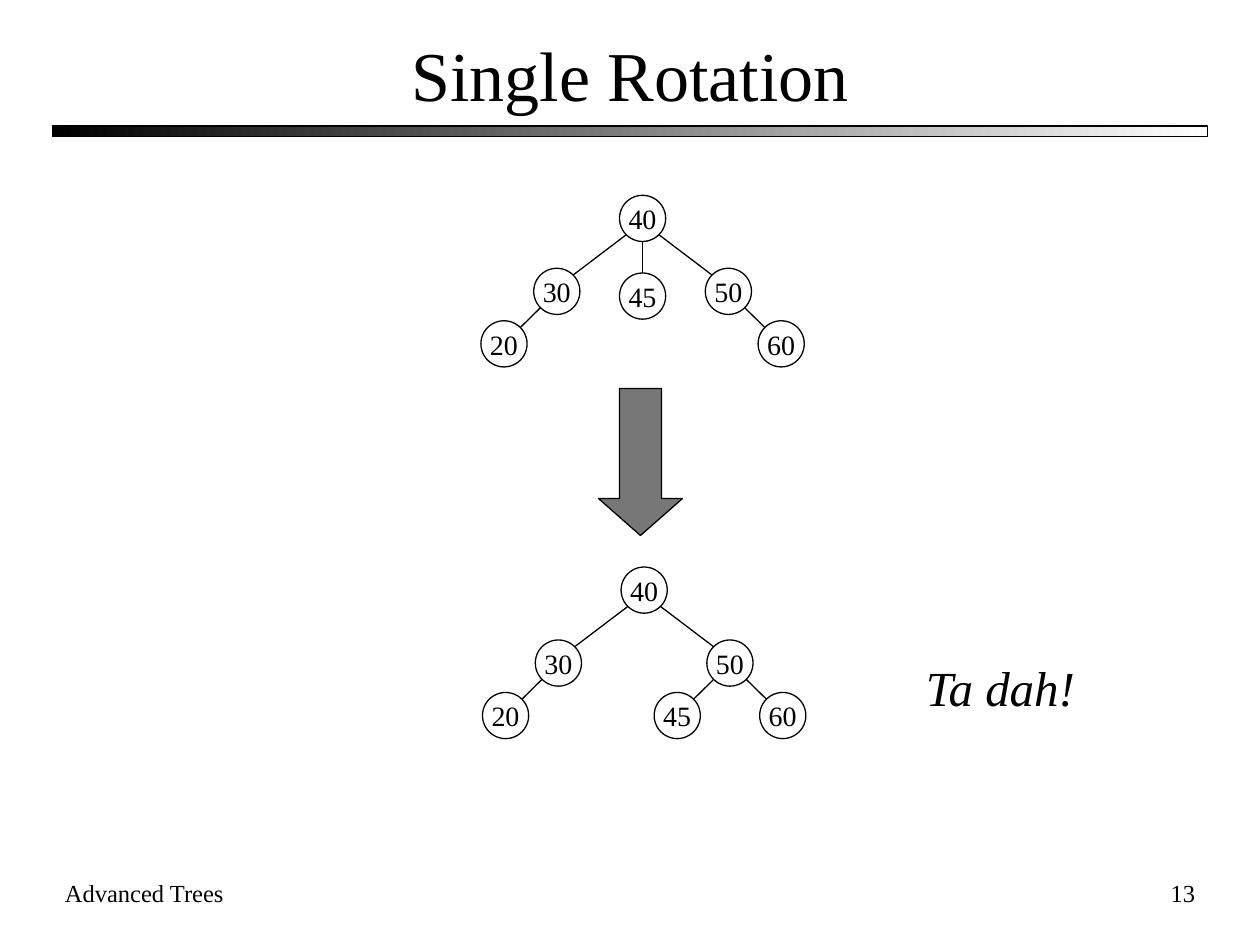
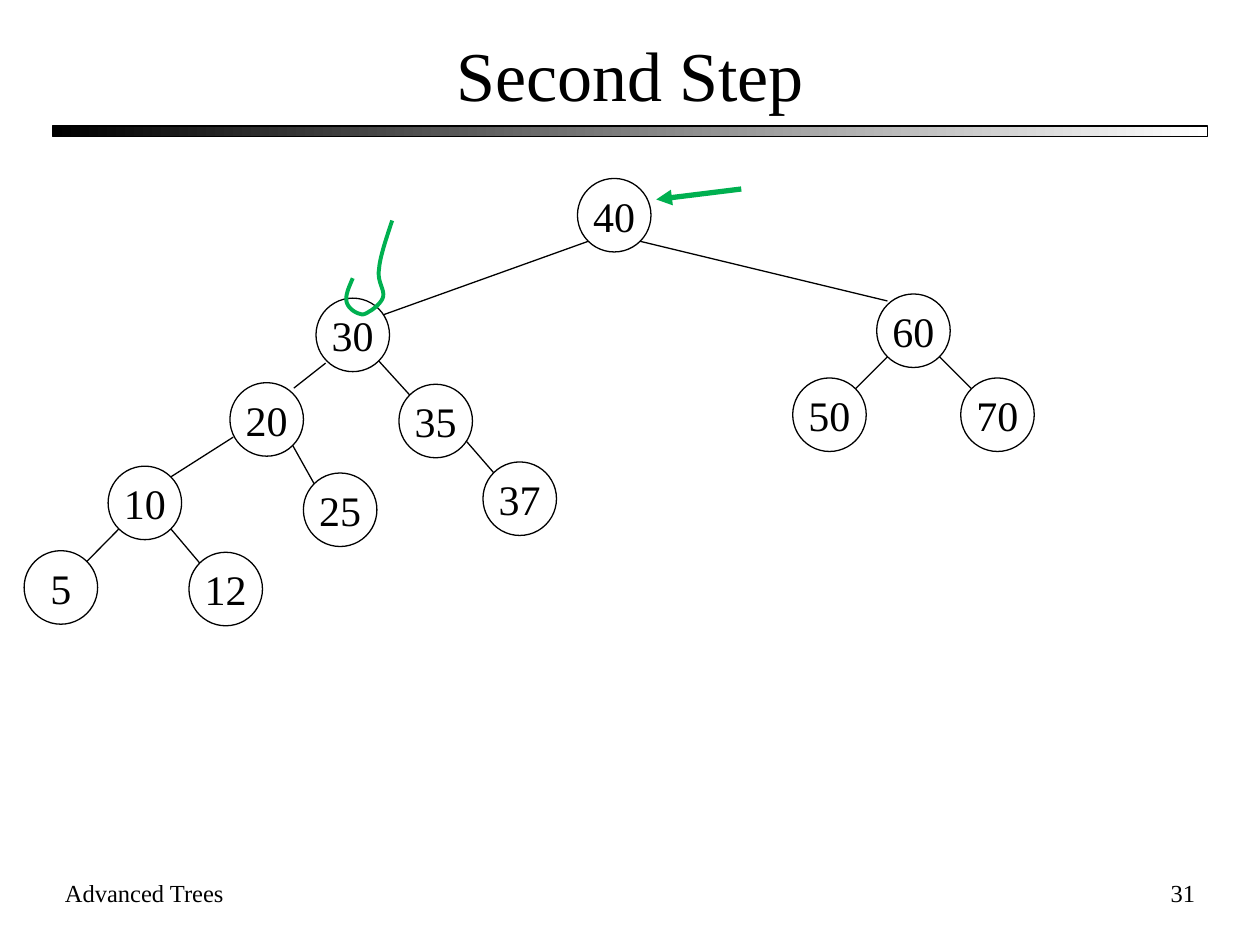
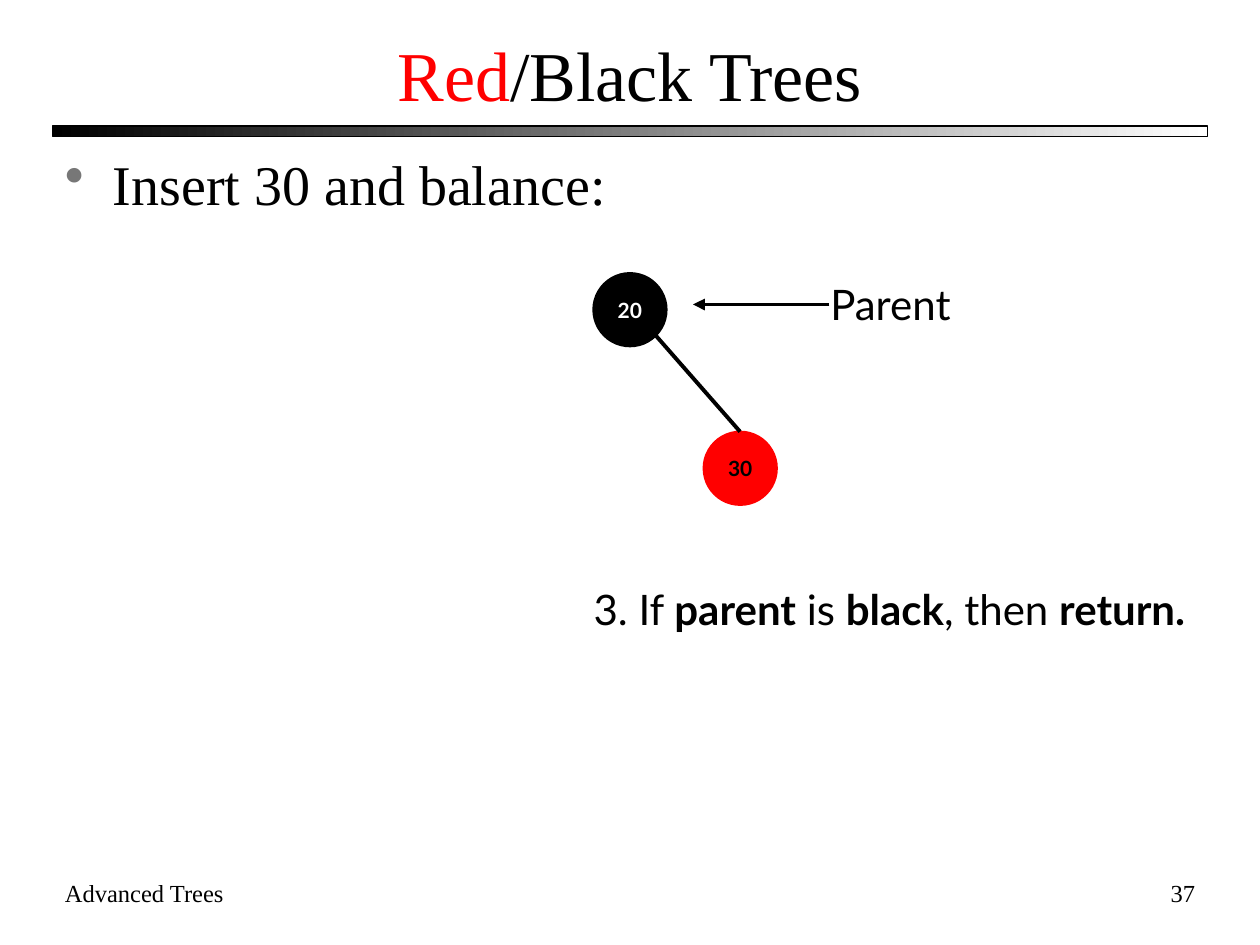
import pptx
import pptx.dml.color
import pptx.enum.dml
import pptx.enum.shapes
import pptx.enum.text
import pptx.oxml
import pptx.oxml.ns
import pptx.util
import lxml.etree

COLUMNS, ROWS = 120, 90
SERIF, SANS = "Times New Roman", "Lato"
BLACK, WHITE, RED, GREEN, GRAY = "000000", "FFFFFF", "FF0000", "00B050", "777777"
ALIGN = pptx.enum.text.PP_ALIGN
ANCHOR = pptx.enum.text.MSO_ANCHOR
AUTO_SIZE = pptx.enum.text.MSO_AUTO_SIZE
SHAPE = pptx.enum.shapes.MSO_SHAPE


def color(value):
    return pptx.dml.color.RGBColor.from_string(value)


def apply(target, values):
    for name, value in values.items():
        setattr(target, name, value)


def add_xml(parent, tag, **attributes):
    return lxml.etree.SubElement(parent, pptx.oxml.ns.qn(tag), attributes)


def bezier(start, first, second, end, steps=10):
    for step in range(1, steps + 1):
        t = step / steps
        weights = ((1 - t) ** 3, 3 * t * (1 - t) ** 2, 3 * t * t * (1 - t), t ** 3)
        points = (start, first, second, end)
        yield tuple(sum(w * p[axis] for w, p in zip(weights, points)) for axis in (0, 1))


class Deck:
    def __init__(self):
        self.presentation = pptx.Presentation()
        apply(self.presentation, {"slide_width": pptx.util.Inches(10),
                                  "slide_height": pptx.util.Inches(7.5)})
        self.slide = None

    def x(self, columns):
        return round(self.presentation.slide_width * columns / COLUMNS)

    def y(self, rows):
        return round(self.presentation.slide_height * rows / ROWS)

    def box(self, left, top, width, height):
        return self.x(left), self.y(top), self.x(width), self.y(height)

    def new_slide(self, title, number):
        self.slide = self.presentation.slides.add_slide(self.presentation.slide_layouts[6])
        bar = self.shape(SHAPE.RECTANGLE, (5, 12, 110, 1))
        bar.fill.gradient()
        bar.fill.gradient_angle = 0
        for stop, position, value in zip(bar.fill.gradient_stops, (0, 1), (BLACK, WHITE)):
            stop.position = position
            stop.color.rgb = color(value)
        self.text((5, 2, 110, 10), title, 40, align=ALIGN.CENTER, anchor=ANCHOR.MIDDLE)
        self.text((5, 83, 42, 6), "Advanced Trees", 14)
        self.text((90, 83, 25, 6), str(number), 14, align=ALIGN.RIGHT)

    def fill_text(self, shape, content, size, font=SERIF, ink=BLACK, align=ALIGN.LEFT,
                  anchor=ANCHOR.TOP, wrap=True, grow=False, bullet=None, **style):
        frame = shape.text_frame
        apply(frame, {"word_wrap": wrap, "vertical_anchor": anchor,
                      "auto_size": AUTO_SIZE.SHAPE_TO_FIT_TEXT if grow else AUTO_SIZE.NONE})
        paragraph = frame.paragraphs[0]
        paragraph.alignment = align
        if bullet:
            properties = paragraph._p.get_or_add_pPr()
            indent = pptx.util.Inches(0.38)
            properties.set("marL", str(indent))
            properties.set("indent", str(-indent))
            add_xml(add_xml(properties, "a:buClr"), "a:srgbClr", val=bullet)
            add_xml(properties, "a:buChar", char="•")
        parts = [(content, {})] if isinstance(content, str) else content
        for words, changes in parts:
            run = paragraph.add_run()
            run.text = words
            values = {"name": font, "size": pptx.util.Pt(size), **style, **changes}
            run.font.color.rgb = color(values.pop("ink", ink))
            apply(run.font, values)

    def text(self, place, content, size, **style):
        shape = self.slide.shapes.add_textbox(*self.box(*place))
        self.fill_text(shape, content, size, **style)

    def outline(self, shape, ink, width):
        shape.line.color.rgb = color(ink)
        shape.line.width = pptx.util.Pt(width)

    def shape(self, kind, place, fill=None, ink=BLACK, width=0.75):
        shape = self.slide.shapes.add_shape(kind, *self.box(*place))
        shape.shadow.inherit = False
        if fill:
            shape.fill.solid()
            shape.fill.fore_color.rgb = color(fill)
        else:
            shape.fill.background()
        self.outline(shape, ink, width)
        return shape

    def line(self, start, end, ink=BLACK, width=0.75, arrow=False):
        connector = self.slide.shapes.add_connector(
            pptx.enum.shapes.MSO_CONNECTOR.STRAIGHT,
            self.x(start[0]), self.y(start[1]), self.x(end[0]), self.y(end[1]))
        self.outline(connector, ink, width)
        if arrow:
            add_xml(connector.line._get_or_add_ln(), "a:tailEnd", type="triangle")
        add_xml(connector._element.spPr, "a:effectLst")

    def curve(self, start, segments, ink, width):
        points = []
        current = start
        for segment in segments:
            points.extend(bezier(current, *segment))
            current = segment[-1]
        builder = self.slide.shapes.build_freeform(self.x(start[0]), self.y(start[1]))
        builder.add_line_segments([(self.x(x), self.y(y)) for x, y in points], close=False)
        shape = builder.convert_to_shape()
        shape.shadow.inherit = False
        shape.fill.background()
        self.outline(shape, ink, width)

    def node(self, center, radius, label, size, fill=None, outline=BLACK, width=0.75, **style):
        place = (center[0] - radius, center[1] - radius, 2 * radius, 2 * radius)
        shape = self.shape(SHAPE.OVAL, place, fill, outline, width)
        self.fill_text(shape, label, size, align=ALIGN.CENTER, anchor=ANCHOR.MIDDLE,
                       wrap=False, **style)

    def edge(self, parent, child, radius, width=0.75, shift=(0, 0, 0, 0)):
        side = (child[0] > parent[0]) - (child[0] < parent[0])
        diagonal = 0.71
        reach_x = side * radius * diagonal
        reach_y = radius * (diagonal if side else 1)
        self.line((parent[0] + reach_x + shift[0], parent[1] + reach_y + shift[1]),
                  (child[0] - reach_x + shift[2], child[1] - reach_y + shift[3]), width=width)

    def tree(self, origin, nodes, children, radius, size, shifts={}):
        centers = {label: (origin[0] + x, origin[1] + y) for label, (x, y) in nodes.items()}
        for label, center in centers.items():
            self.node(center, radius, label, size)
        for parent, labels in children.items():
            for label in labels.split():
                self.edge(centers[parent], centers[label], radius,
                          shift=shifts.get(label, (0, 0, 0, 0)))


def single_rotation(deck):
    deck.new_slide("Single Rotation", 13)
    shared = {"40": (0, 0), "30": (-8.17, 6.95), "50": (8.17, 6.95),
              "20": (-13.2, 11.95), "60": (13.2, 11.95)}
    deck.tree((61.2, 20.8), {**shared, "45": (0, 7.4)},
              {"40": "30 45 50", "30": "20", "50": "60"}, 2.2, 16)
    arrow = deck.shape(SHAPE.DOWN_ARROW, (57, 37, 8, 14), GRAY)
    arrow.adjustments[0] = 0.5
    arrow.adjustments[1] = 0.44
    deck.tree((61.35, 56.2), {**shared, "45": (3.15, 11.95)},
              {"40": "30 50", "30": "20", "50": "45 60"}, 2.2, 16)
    deck.text((87, 62, 17, 6.8), "Ta dah!", 28, wrap=False, grow=True, italic=True)


def second_step(deck):
    deck.new_slide("Second Step", 31)
    nodes = {"40": (58.5, 20.5), "30": (33.6, 31.9), "20": (25.4, 39.95), "60": (87, 31.5),
             "10": (13.8, 47.9), "50": (79, 39.5), "70": (95, 39.5), "5": (5.8, 55.95),
             "25": (32.4, 48.55), "35": (41.5, 40.1), "12": (21.5, 56.1), "37": (49.5, 47.5)}
    children = {"40": "30 60", "30": "20 35", "60": "50 70", "20": "10 25",
                "35": "37", "10": "5 12"}
    shifts = {"30": (0, 0, 0.42, 0.57), "60": (0, 0, 0, -0.35), "20": (-0.1, 0.2, 0.1, -0.5),
              "10": (-0.7, -0.8, 0, 0), "37": (0.4, -0.6, 0, 0)}
    deck.tree((0, 0), nodes, children, 3.5, 24, shifts)
    deck.curve((37.35, 21), [
        ((36.8, 22.7), (36.2, 24.4), (36.1, 25.6)),
        ((35.9, 26.8), (36.6, 27.5), (36.5, 28.2)),
        ((36.4, 28.9), (35.3, 29.6), (35.3, 29.6)),
        ((35.2, 29.6), (34.7, 30.1), (34.3, 29.9)),
        ((33.8, 29.8), (33.1, 29.3), (33, 28.7)),
        ((32.9, 28.1), (33.2, 27.4), (33.6, 26.5))], GREEN, 2.25)
    deck.line((70.6, 18), (62.5, 19), GREEN, 3, arrow=True)


def red_black_trees(deck):
    deck.new_slide([("Red", {"ink": RED}), ("/Black Trees", {})], 37)
    deck.text((5, 13.6, 110, 8), "Insert 30 and balance:", 32, bullet=GRAY)
    parent, child = (60, 29.5), (70.5, 44.6)
    for center, label, fill, ink in ((child, "30", RED, BLACK), (parent, "20", BLACK, WHITE)):
        deck.node(center, 3.5, label, 12, fill, fill, 1, font=SANS, ink=ink, bold=True)
    deck.line((79, 29), (66, 29), width=2.25, arrow=True)
    deck.text((77.9, 25.9, 14.9, 6), "Parent", 24, font=SANS, wrap=False, grow=True)
    deck.edge(parent, child, 3.5, 2.25, (0, 0, 2.47, -1))
    bold = {"bold": True}
    deck.text((55.35, 55, 60, 10.8), [
        ("3. If ", {}), ("parent", bold), (" is ", {}), ("black", bold),
        (", then ", {}), ("return.", bold)], 24, font=SANS, grow=True)


def main():
    deck = Deck()
    for build in (single_rotation, second_step, red_black_trees):
        build(deck)
    deck.presentation.save("out.pptx")


if __name__ == "__main__":
    main()
